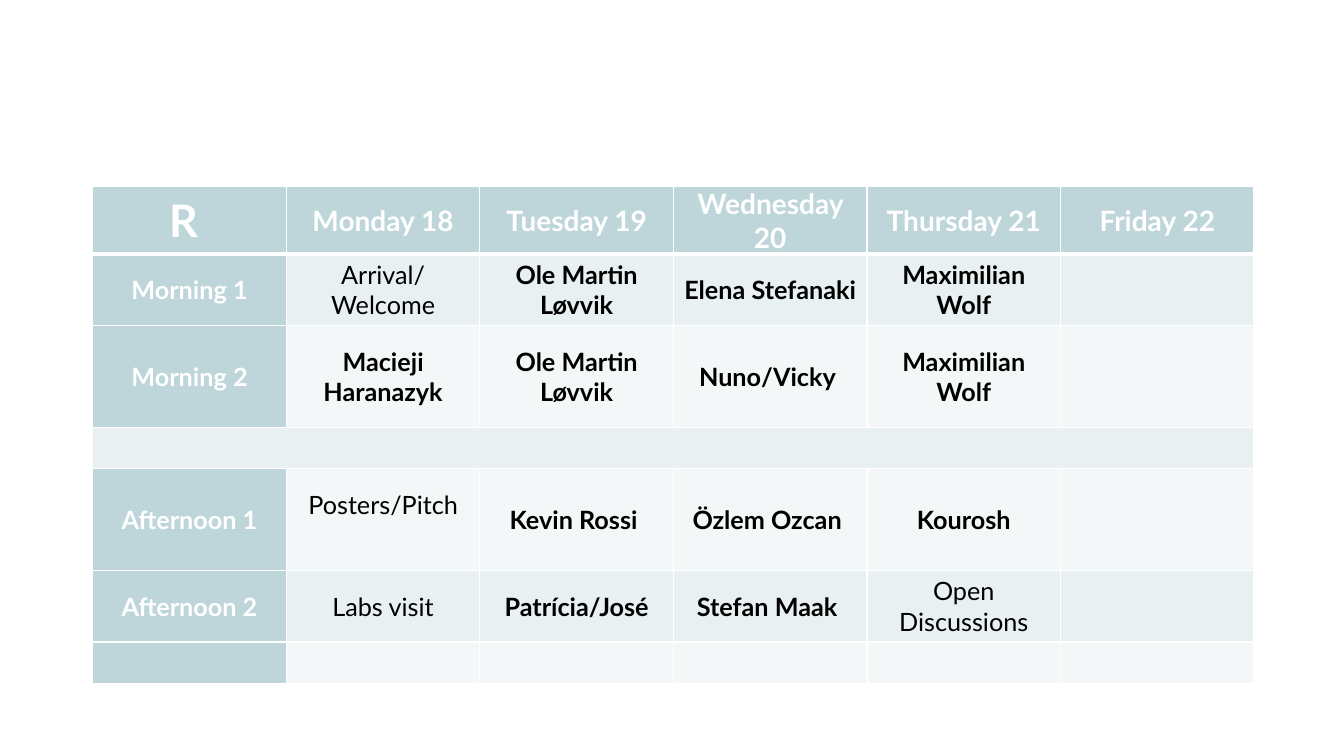
"""Build the weekly programme slide with its timetable."""
from lxml.etree import SubElement
from pptx import Presentation
from pptx.dml.color import RGBColor
from pptx.enum.text import MSO_ANCHOR, PP_ALIGN
from pptx.oxml.ns import qn
from pptx.util import Inches, Pt

DAYS = ["R ", "Monday 18", "Tuesday 19", "Wednesday 20", "Thursday 21", "Friday 22"]
SESSIONS = [
    ["Morning 1", "Arrival/Welcome", "Ole Martin Løvvik", "Elena Stefanaki", "Maximilian Wolf", ""],
    ["Morning 2", "Macieji Haranazyk", "Ole Martin Løvvik", "Nuno/Vicky ", "Maximilian Wolf", ""],
    [""] * 6,
    ["Afternoon 1", "Posters/Pitch", "Kevin Rossi ", "Özlem Ozcan ", "Kourosh", ""],
    ["Afternoon 2", "Labs visit", "Patrícia/José", "Stefan Maak ", "Open Discussions", ""],
    [""] * 6,
]
ACTIVITIES = {"Arrival/Welcome", "Posters/Pitch", "Labs visit", "Open Discussions"}
ROW_HEIGHTS = [0.64, 0.71, 1.01, 0.41, 1.01, 0.71, 0.41]
LEFT, TOP, COLUMN_WIDTH = 0.92, 1.85, 1.92
LUNCH_ROW = 3
FONT = "Lato"
HEADING, BANDS = "BED6DA", ("F4F7F8", "E8F0F1")
WHITE, BLACK = "FFFFFF", "000000"


def color(hex_code):
    return RGBColor.from_string(hex_code)


def add_borders(cell, row):
    properties = cell._tc.get_or_add_tcPr()
    widths = {"L": 1, "R": 1, "T": 3 if row == 1 else 1, "B": 3 if row == 0 else 1}
    for side, width in widths.items():
        line = SubElement(properties, qn(f"a:ln{side}"), w=str(Pt(width)))
        fill = SubElement(line, qn("a:solidFill"))
        SubElement(fill, qn("a:srgbClr"), val=WHITE)


def fill_cell(cell, text, row, column):
    is_heading = row == 0 or (column == 0 and row != LUNCH_ROW)
    add_borders(cell, row)
    cell.fill.solid()
    cell.fill.fore_color.rgb = color(HEADING if is_heading else BANDS[row % 2])
    cell.vertical_anchor = MSO_ANCHOR.MIDDLE
    if row == 0 and column > 0:
        cell.margin_left = cell.margin_right = Inches(0.07)
        cell.margin_top = cell.margin_bottom = 0
    if text == "Posters/Pitch":
        cell.margin_bottom = Inches(0.35)
    if not text:
        return
    paragraph = cell.text_frame.paragraphs[0]
    paragraph.alignment = PP_ALIGN.CENTER
    run = paragraph.add_run()
    run.text = text
    run.font.name = FONT
    run.font.size = Pt(18 if row else 20 if column else 32)
    run.font.bold = text not in ACTIVITIES
    run.font.color.rgb = color(WHITE if is_heading else BLACK)


def main():
    prs = Presentation()
    prs.slide_width, prs.slide_height = Inches(13.33), Inches(7.5)
    slide = prs.slides.add_slide(prs.slide_layouts[6])
    programme = [DAYS, *SESSIONS]
    timetable = slide.shapes.add_table(
        len(programme), len(DAYS), Inches(LEFT), Inches(TOP),
        Inches(COLUMN_WIDTH * len(DAYS)), Inches(sum(ROW_HEIGHTS))).table
    for column in timetable.columns:
        column.width = Inches(COLUMN_WIDTH)
    for row, (height, entries) in enumerate(zip(ROW_HEIGHTS, programme)):
        timetable.rows[row].height = Inches(height)
        for column, text in enumerate(entries):
            fill_cell(timetable.cell(row, column), text, row, column)
    timetable.cell(LUNCH_ROW, 0).merge(timetable.cell(LUNCH_ROW, len(DAYS) - 1))
    prs.save("out.pptx")


if __name__ == "__main__":
    main()
